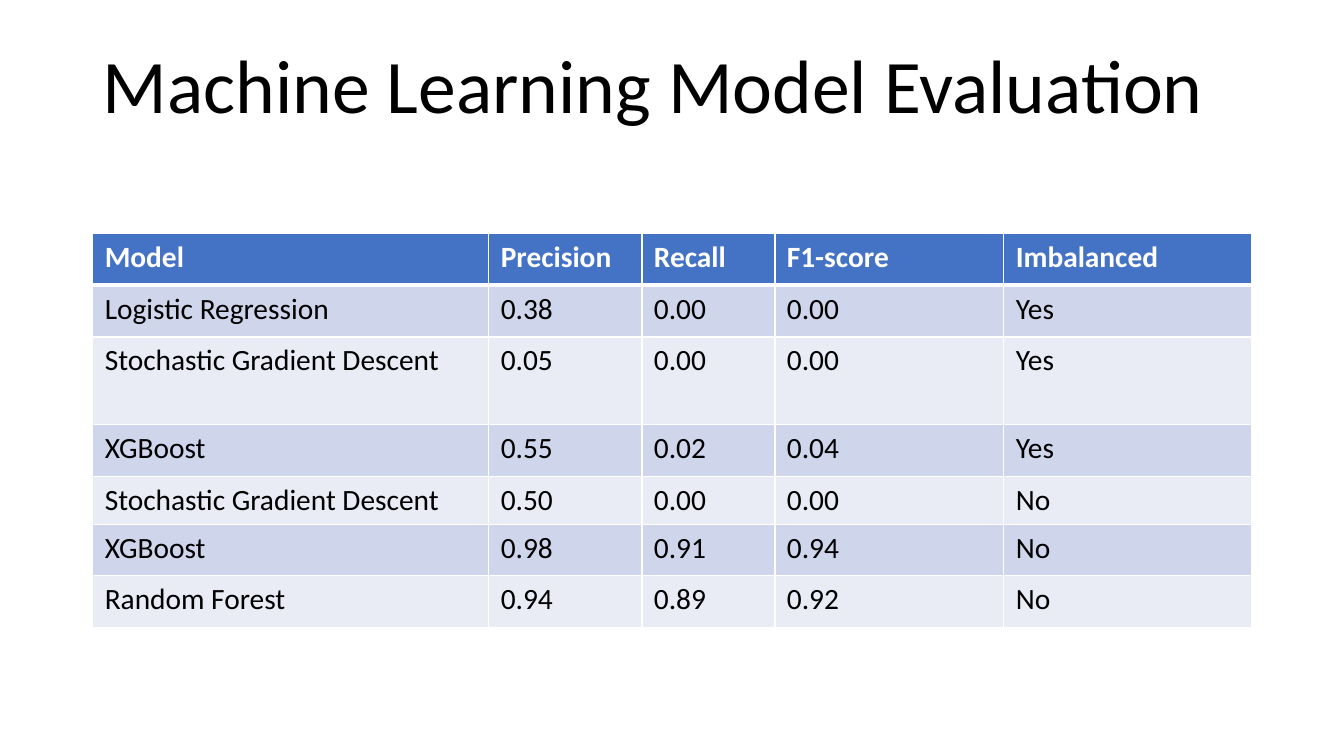
from lxml import etree
from pptx import Presentation
from pptx.dml.color import RGBColor
from pptx.enum.text import MSO_ANCHOR, PP_ALIGN
from pptx.oxml.ns import qn
from pptx.util import Cm, Pt

LEFT = PP_ALIGN.LEFT
BOTTOM = MSO_ANCHOR.BOTTOM
TOP = MSO_ANCHOR.TOP
TITLE_ONLY = 5

TITLE = "Machine Learning Model Evaluation"
RESULTS = [
    ("Model", "Precision", "Recall", "F1-score", "Imbalanced"),
    ("Logistic Regression", "0.38", "0.00", "0.00", "Yes"),
    ("Stochastic Gradient Descent", "0.05", "0.00", "0.00", "Yes"),
    ("XGBoost", "0.55", "0.02", "0.04", "Yes"),
    ("Stochastic Gradient Descent", "0.50", "0.00", "0.00", "No"),
    ("XGBoost", "0.98", "0.91", "0.94", "No"),
    ("Random Forest", "0.94", "0.89", "0.92", "No"),
]
COLUMN_WIDTHS = (9.98, 3.86, 3.35, 5.77, 6.25)
ROW_HEIGHTS = (1.3, 1.3, 2.21, 1.3, 1.19, 1.3, 1.3)


def rgb(hex_color):
    return RGBColor.from_string(hex_color)


class SlideBuilder:
    """Holds the style and the current slide."""

    font = "Calibri"
    black = "000000"
    white = "FFFFFF"
    header_fill = "4472C4"
    band_fills = ("E9EBF5", "CFD5EA")
    left, width = 2.34, 29.21

    def __init__(self, presentation):
        self.slide = presentation.slides.add_slide(presentation.slide_layouts[TITLE_ONLY])

    def format_runs(self, paragraph, size, color, bold=False):
        for run in paragraph.runs:
            run.font.name = self.font
            run.font.size = Pt(size)
            run.font.bold = bold
            run.font.color.rgb = rgb(color)

    def add_title(self, text, top, height):
        title = self.slide.shapes.title
        title.left, title.top = Cm(self.left), Cm(top)
        title.width, title.height = Cm(self.width), Cm(height)
        frame = title.text_frame
        frame.text = text
        frame.word_wrap = True
        frame.vertical_anchor = BOTTOM
        paragraph = frame.paragraphs[0]
        paragraph.alignment = LEFT
        paragraph.line_spacing = 0.9
        self.format_runs(paragraph, 54, self.black)

    def add_table(self, rows, top, column_widths, row_heights):
        table = self.slide.shapes.add_table(
            len(rows), len(column_widths), Cm(self.left), Cm(top),
            Cm(self.width), Cm(sum(row_heights))).table
        for column, width in zip(table.columns, column_widths):
            column.width = Cm(width)
        for row, height in zip(table.rows, row_heights):
            row.height = Cm(height)
        for row_index, texts in enumerate(rows):
            for column_index, text in enumerate(texts):
                self.format_cell(table.cell(row_index, column_index), text, row_index)

    def format_cell(self, cell, text, row_index):
        is_header = row_index == 0
        cell.margin_left = cell.margin_right = Cm(0.3)
        cell.margin_top = cell.margin_bottom = Cm(0.15)
        cell.vertical_anchor = TOP
        cell.text_frame.text = text
        self.format_runs(cell.text_frame.paragraphs[0], 21,
                         self.white if is_header else self.black, is_header)
        self.add_borders(cell, top=3 if row_index == 1 else 1,
                         bottom=3 if is_header else 1)
        cell.fill.solid()
        fill = self.header_fill if is_header else self.band_fills[row_index % 2]
        cell.fill.fore_color.rgb = rgb(fill)

    def add_borders(self, cell, top, bottom):
        """Draw the white cell borders; they must precede the fill."""
        properties = cell._tc.get_or_add_tcPr()
        for side, points in (("L", 1), ("R", 1), ("T", top), ("B", bottom)):
            line = etree.SubElement(properties, qn(f"a:ln{side}"), w=str(Pt(points)))
            fill = etree.SubElement(line, qn("a:solidFill"))
            etree.SubElement(fill, qn("a:srgbClr"), val=self.white)


def main():
    presentation = Presentation()
    presentation.slide_width = Cm(33.87)
    presentation.slide_height = Cm(19.05)
    builder = SlideBuilder(presentation)
    builder.add_title(TITLE, 0.81, 2.59)
    builder.add_table(RESULTS, 5.89, COLUMN_WIDTHS, ROW_HEIGHTS)
    presentation.save("out.pptx")


if __name__ == "__main__":
    main()
